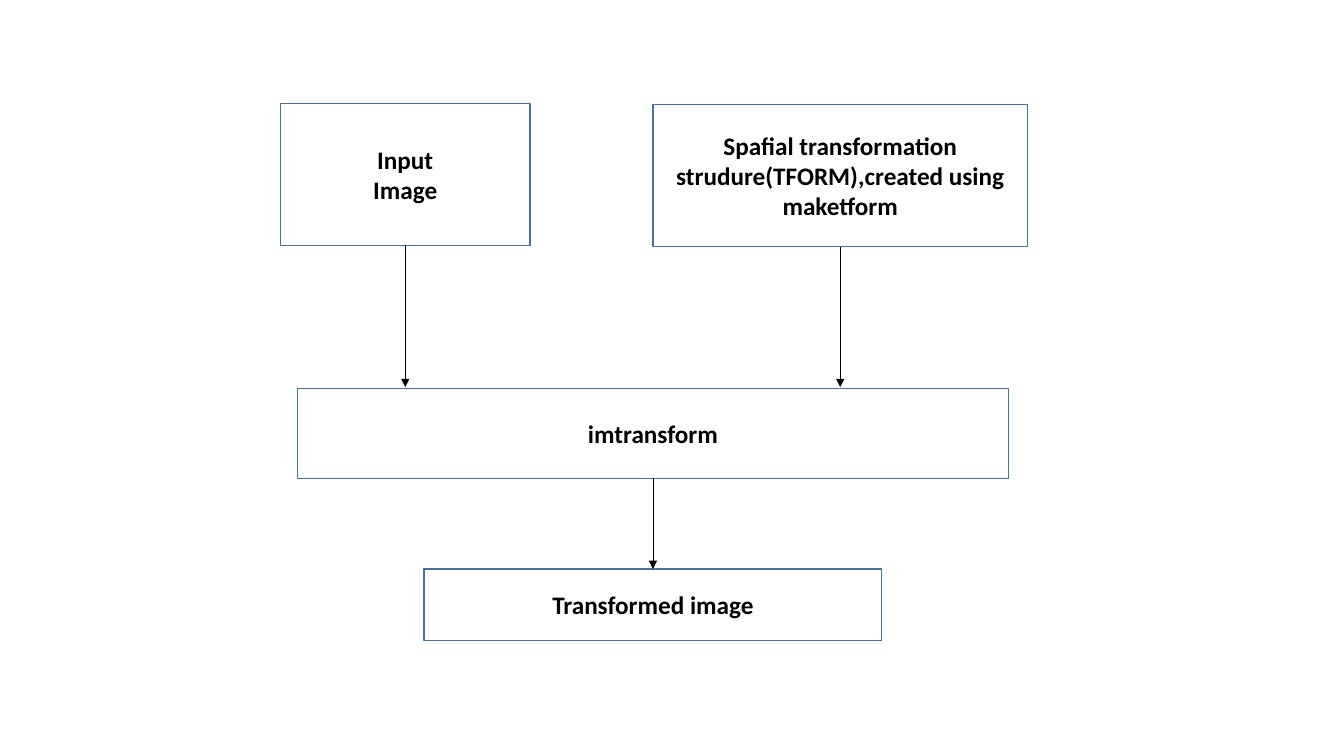
from dataclasses import dataclass

from lxml import etree
from pptx import Presentation
from pptx import util as u
from pptx.dml.color import RGBColor
from pptx.enum import shapes, text
from pptx.oxml.ns import qn

COLOURS = {"outline": "43739E", "ink": "000000"}
FONT_FORMAT = {"name": "Calibri", "size": u.Pt(18), "bold": True}
FRAME_FORMAT = {"word_wrap": True, "vertical_anchor": text.MSO_ANCHOR.MIDDLE}
BOTTOM, TOP = 2, 0
ARROW_GAP = 1.1


@dataclass(frozen=True)
class Box:
    key: str
    left: float
    top: float
    width: float
    height: float
    lines: tuple[str, ...]


@dataclass(frozen=True)
class Arrow:
    start: str
    end: str
    joined: bool = False


BOXES = (
    Box("input", 200.2, 73.8, 178.5, 101.5, ("Input", "Image")),
    Box("tform", 466.3, 74.6, 267.8, 101.5,
        ("Spafial transformation strudure(TFORM),created using maketform",)),
    Box("imtransform", 212.4, 277.6, 508, 64.1, ("imtransform",)),
    Box("output", 302.9, 406.4, 327, 51.1, ("Transformed image",)),
)
ARROWS = (
    Arrow("input", "imtransform"),
    Arrow("tform", "imtransform"),
    Arrow("imtransform", "output", joined=True),
)


def apply_format(target, values: dict) -> None:
    for attribute, value in values.items():
        setattr(target, attribute, value)


def draw_line(line, colour: str, width: float) -> None:
    line.color.rgb = RGBColor.from_string(COLOURS[colour])
    line.width = u.Pt(width)


def draw_box(slide, box: Box):
    shape = slide.shapes.add_shape(
        shapes.MSO_SHAPE.RECTANGLE,
        u.Pt(box.left), u.Pt(box.top), u.Pt(box.width), u.Pt(box.height),
    )
    shape.shadow.inherit = False
    shape.fill.background()
    draw_line(shape.line, "outline", 1)
    frame = shape.text_frame
    apply_format(frame, FRAME_FORMAT)
    for index, line in enumerate(box.lines):
        paragraph = frame.add_paragraph() if index else frame.paragraphs[0]
        paragraph.alignment = text.PP_ALIGN.CENTER
        run = paragraph.add_run()
        run.text = line
        apply_format(run.font, FONT_FORMAT)
        run.font.color.rgb = RGBColor.from_string(COLOURS["ink"])
    return shape


def draw_arrow(slide, arrow: Arrow, drawn: dict) -> None:
    start, end = drawn[arrow.start], drawn[arrow.end]
    middle = start.left + start.width // 2
    connector = slide.shapes.add_connector(
        shapes.MSO_CONNECTOR.STRAIGHT,
        middle, start.top + start.height, middle, end.top - u.Pt(ARROW_GAP),
    )
    connector.begin_connect(start, BOTTOM)
    if arrow.joined:
        connector.end_connect(end, TOP)
    draw_line(connector.line, "ink", 0.5)
    etree.SubElement(connector.get_or_add_ln(), qn("a:tailEnd"), type="triangle")
    etree.SubElement(connector._element.spPr, qn("a:effectLst"))


def main() -> None:
    presentation = Presentation()
    presentation.slide_width = u.Pt(960)
    presentation.slide_height = u.Pt(540)
    slide = presentation.slides.add_slide(presentation.slide_layouts[6])
    drawn = {box.key: draw_box(slide, box) for box in BOXES}
    for arrow in ARROWS:
        draw_arrow(slide, arrow, drawn)
    presentation.save("out.pptx")


if __name__ == "__main__":
    main()
